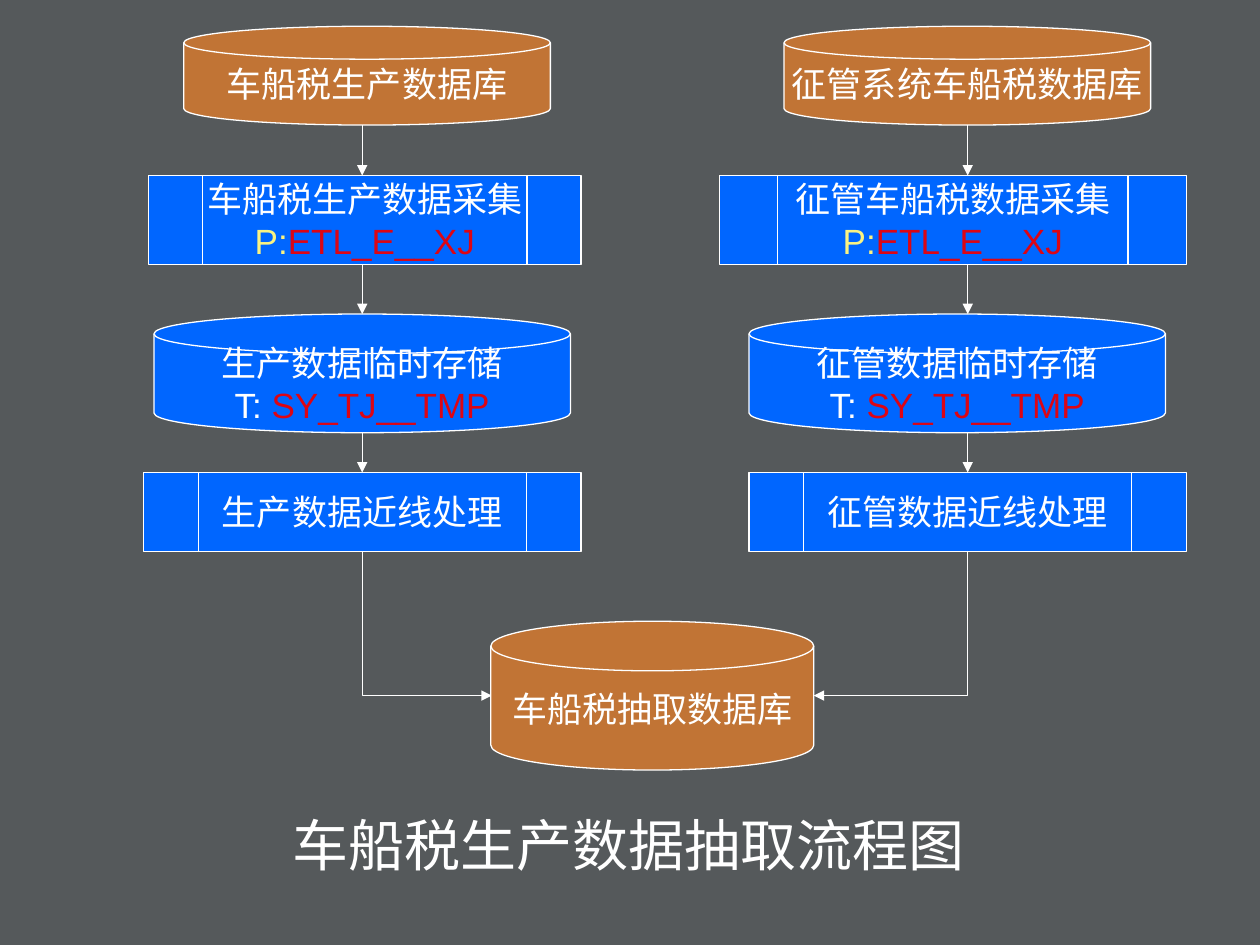
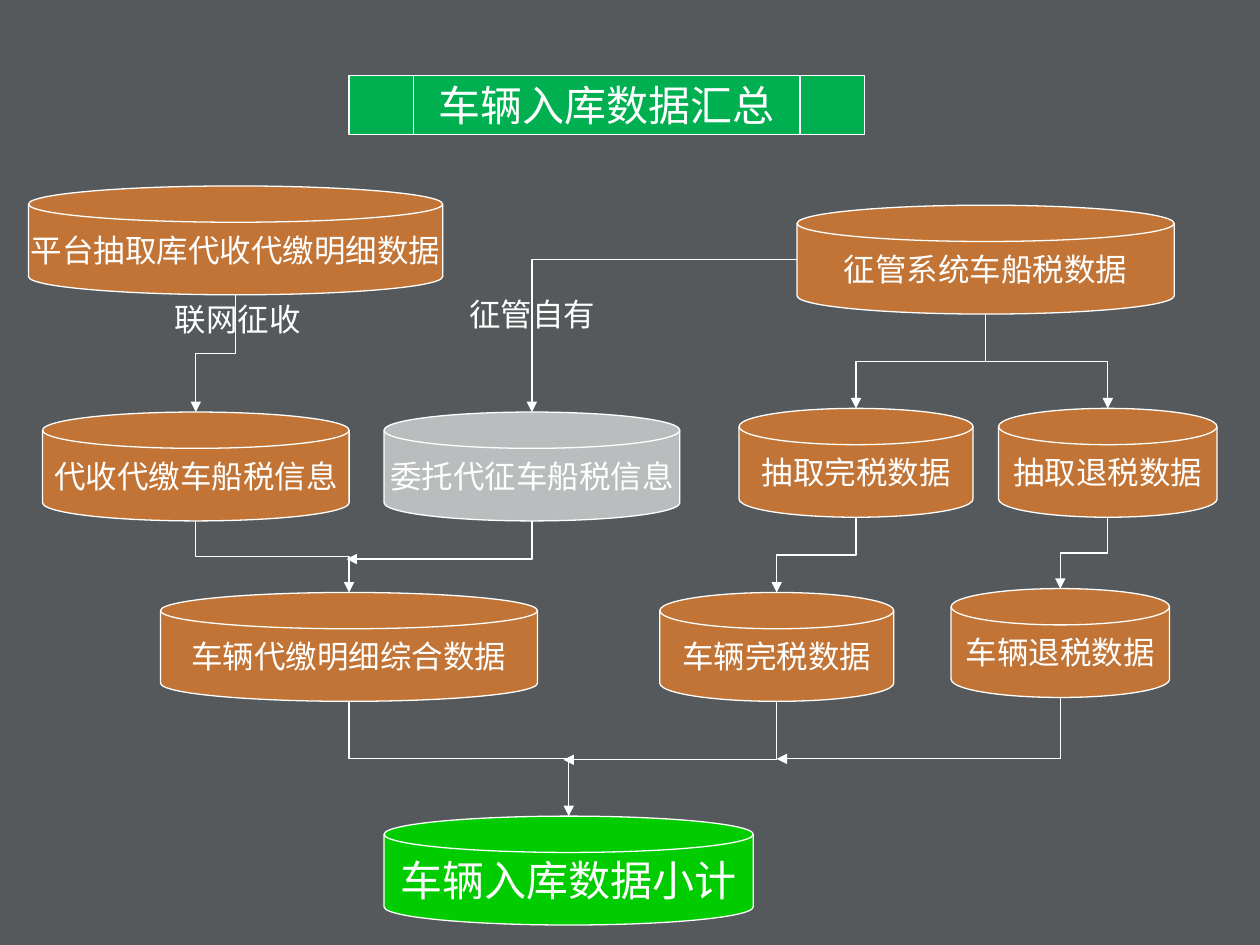
from lxml import etree
from pptx import Presentation
from pptx.dml.color import RGBColor
from pptx.enum.shapes import MSO_CONNECTOR, MSO_SHAPE
from pptx.enum.text import MSO_ANCHOR, PP_ALIGN
from pptx.oxml.ns import qn
from pptx.util import Pt

DISK = MSO_SHAPE.FLOWCHART_MAGNETIC_DISK
STEP = MSO_SHAPE.FLOWCHART_PREDEFINED_PROCESS
ELBOW = MSO_CONNECTOR.ELBOW
STRAIGHT = MSO_CONNECTOR.STRAIGHT
MIDDLE = MSO_ANCHOR.MIDDLE
CENTER = PP_ALIGN.CENTER
LEFT = PP_ALIGN.LEFT

GREY = RGBColor(0x55, 0x59, 0x5B)
WHITE = RGBColor(0xFF, 0xFF, 0xFF)
BLUE = RGBColor(0x00, 0x66, 0xFF)
BROWN = RGBColor(0xC1, 0x74, 0x35)
GREEN = RGBColor(0x00, 0xB0, 0x50)
LIME = RGBColor(0x00, 0xCC, 0x00)
SILVER = RGBColor(0xBA, 0xBD, 0xBE)
YELLOW = RGBColor(0xFA, 0xF3, 0x82)
RED = RGBColor(0xDD, 0x05, 0x14)

LATIN = "Arial"
HAN = "Noto Sans CJK SC"


def head(shape):
    return (shape.left + shape.width / 2) / Pt(1), shape.top / Pt(1)


def foot(shape):
    x, y = head(shape)
    return x, y + shape.height / Pt(1)


class Deck:
    def __init__(self):
        self.show = Presentation()
        self.show.slide_width = Pt(720)
        self.show.slide_height = Pt(540)

    def page(self):
        slide = self.show.slides.add_slide(self.show.slide_layouts[6])
        slide.background.fill.solid()
        slide.background.fill.fore_color.rgb = GREY
        self.shapes = slide.shapes

    def words(self, frame, lines, size, font, align):
        for at, line in enumerate(lines):
            para = frame.paragraphs[0] if at == 0 else frame.add_paragraph()
            para.alignment = align
            para.font.size = Pt(size)
            para.font.name = font
            para.font.color.rgb = WHITE
            for text, color in line:
                run = para.add_run()
                run.text = text
                if color != WHITE:
                    run.font.color.rgb = color

    def box(self, kind, place, fill, text, code=(), size=18, font=LATIN):
        shape = self.shapes.add_shape(kind, *map(Pt, place))
        shape.shadow.inherit = False
        shape.fill.solid()
        shape.fill.fore_color.rgb = fill
        shape.line.color.rgb = WHITE
        shape.line.width = Pt(0.75)
        frame = shape.text_frame
        frame.word_wrap = False
        frame.vertical_anchor = MIDDLE
        lines = [[(text, WHITE)]]
        if code:
            lines.append(code)
        self.words(frame, lines, size, font, CENTER)
        return shape

    def label(self, place, text, size, font, wrap=False):
        frame = self.shapes.add_textbox(*map(Pt, place)).text_frame
        frame.word_wrap = wrap
        self.words(frame, [[(text, WHITE)]], size, font, LEFT)

    def wire(self, kind, start, end):
        line = self.shapes.add_connector(kind, *map(Pt, start + end))
        line.line.color.rgb = WHITE
        line.line.width = Pt(0.75)
        props = line.element.spPr
        etree.SubElement(props.find(qn("a:ln")), qn("a:tailEnd"), type="triangle")
        etree.SubElement(props, qn("a:effectLst"))
        return props

    def arrow(self, x, top, end):
        self.wire(STRAIGHT, (x, top), (x, end))

    def corner(self, props):
        props.find(qn("a:prstGeom")).set("prst", "bentConnector2")

    def drop(self, start, end):
        (x1, y1), (x2, y2) = start, end
        mid_x, mid_y = (x1 + x2) / 2, (y1 + y2) / 2
        half = abs(x2 - x1) / 2
        reach = (y2 - y1) / 2 * (1 if x2 < x1 else -1)
        props = self.wire(ELBOW, (mid_x - reach, mid_y - half), (mid_x + reach, mid_y + half))
        turn = 90 if x2 < x1 else 270
        props.find(qn("a:xfrm")).set("rot", str(turn * 60000))
        return props

    def join(self, start, end):
        self.corner(self.drop(start, end))

    def side(self, start, end):
        self.corner(self.wire(ELBOW, start, end))


def extract(deck):
    deck.page()
    pull = [("P:", YELLOW), ("ETL_E__XJ", RED)]
    store = [("T: ", WHITE), ("SY_TJ__TMP", RED)]
    lanes = [
        (207, 281, (105, 85, 88, 82), 247,
         ("车船税生产数据库", "车船税生产数据采集", "生产数据临时存储", "生产数据近线处理")),
        (553, 465, (448, 411, 428, 428), 267,
         ("征管系统车船税数据库", "征管车船税数据采集", "征管数据临时存储", "征管数据近线处理")),
    ]
    for axis, edge, lefts, wide, names in lanes:
        rows = [
            (DISK, 15, 209.5, 56.5, BROWN, ()),
            (STEP, 100.3, wide, 50.8, BLUE, pull),
            (DISK, 179.5, 238, 67.8, BLUE, store),
            (STEP, 270, 250, 45, BLUE, ()),
        ]
        for (kind, top, width, height, fill, code), left, name in zip(rows, lefts, names):
            deck.box(kind, (left, top, width, height), fill, name, code, 20)
        for above, below in zip(rows, rows[1:]):
            deck.arrow(axis, above[1] + above[3], below[1])
        deck.join((axis, 315), (edge, 397.5))
    deck.box(DISK, (280.5, 355, 184.5, 85), BROWN, "车船税抽取数据库", size=20)
    deck.label((160, 459.5, 425.5, 46), "车船税生产数据抽取流程图", 32, LATIN, True)


def total(deck):
    deck.page()
    deck.box(STEP, (199.5, 43, 294.5, 34), GREEN, "车辆入库数据汇总", size=24, font=HAN)

    def disk(left, top, width, text, fill=BROWN):
        return deck.box(DISK, (left, top, width, 62.2), fill, text)

    detail = disk(16.3, 106.3, 236.7, "平台抽取库代收代缴明细数据")
    levy = disk(455.5, 117.3, 215.5, "征管系统车船税数据")
    agent = disk(24.3, 235.5, 175.2, "代收代缴车船税信息")
    trust = disk(219.5, 235.5, 169, "委托代征车船税信息", SILVER)
    paid = disk(422.3, 233.4, 133.7, "抽取完税数据")
    refund = disk(570.6, 233.4, 124.8, "抽取退税数据")
    merged = disk(91.7, 338.6, 215.5, "车辆代缴明细综合数据")
    car_paid = disk(377, 338.6, 133.7, "车辆完税数据")
    car_back = disk(543.5, 336.4, 124.8, "车辆退税数据")
    result = deck.box(DISK, (219.5, 466.4, 211, 62.2), LIME, "车辆入库数据小计", size=24, font=HAN)

    links = [
        (detail, agent), (levy, paid), (levy, refund), (agent, merged),
        (paid, car_paid), (refund, car_back), (merged, result),
    ]
    for above, below in links:
        deck.drop(foot(above), head(below))
    for shape, end in [(trust, (198, 319.5)), (car_paid, (322, 434.2)), (car_back, (443.8, 433.6))]:
        deck.join(foot(shape), end)
    deck.side((455.5, 148.4), head(trust))
    deck.label((261, 165, 86.5, 29), "征管自有", 18, HAN)
    deck.label((92.7, 168, 86.5, 29), "联网征收", 18, HAN)


def main():
    deck = Deck()
    extract(deck)
    total(deck)
    deck.show.save("out.pptx")


if __name__ == "__main__":
    main()
